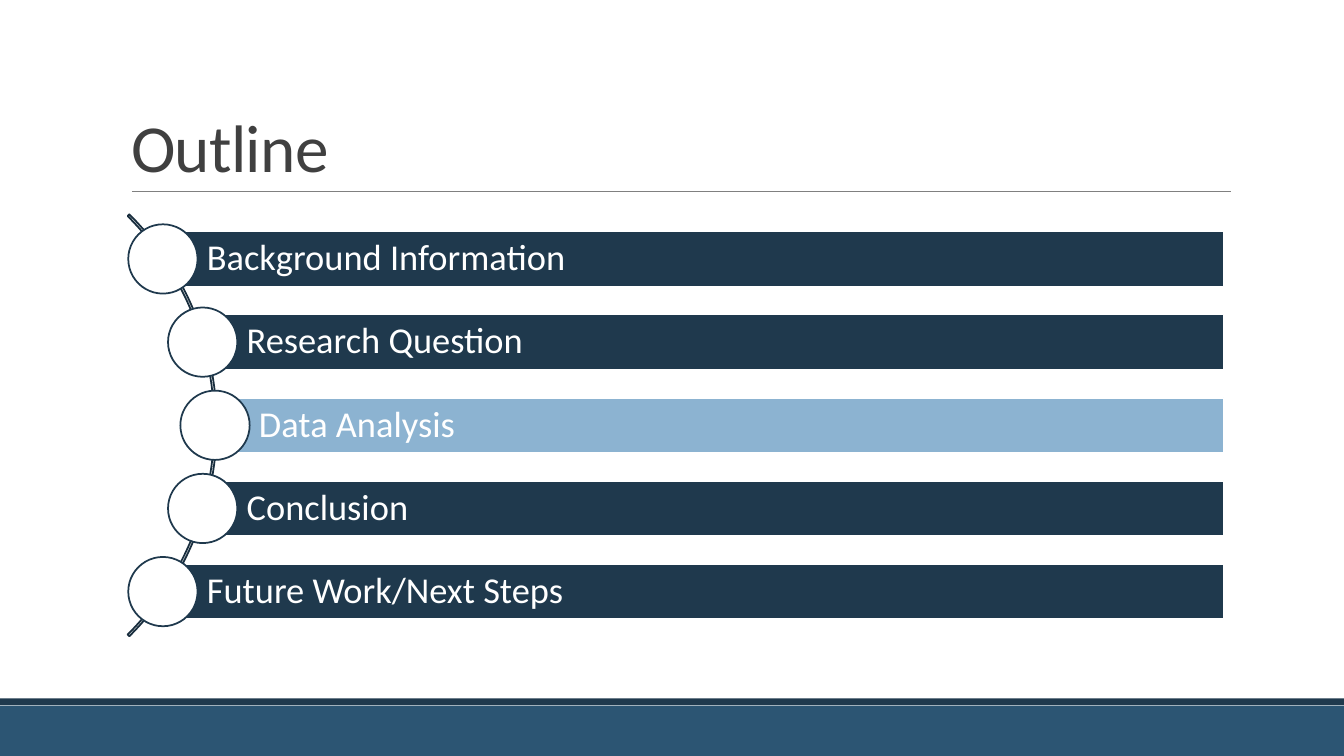
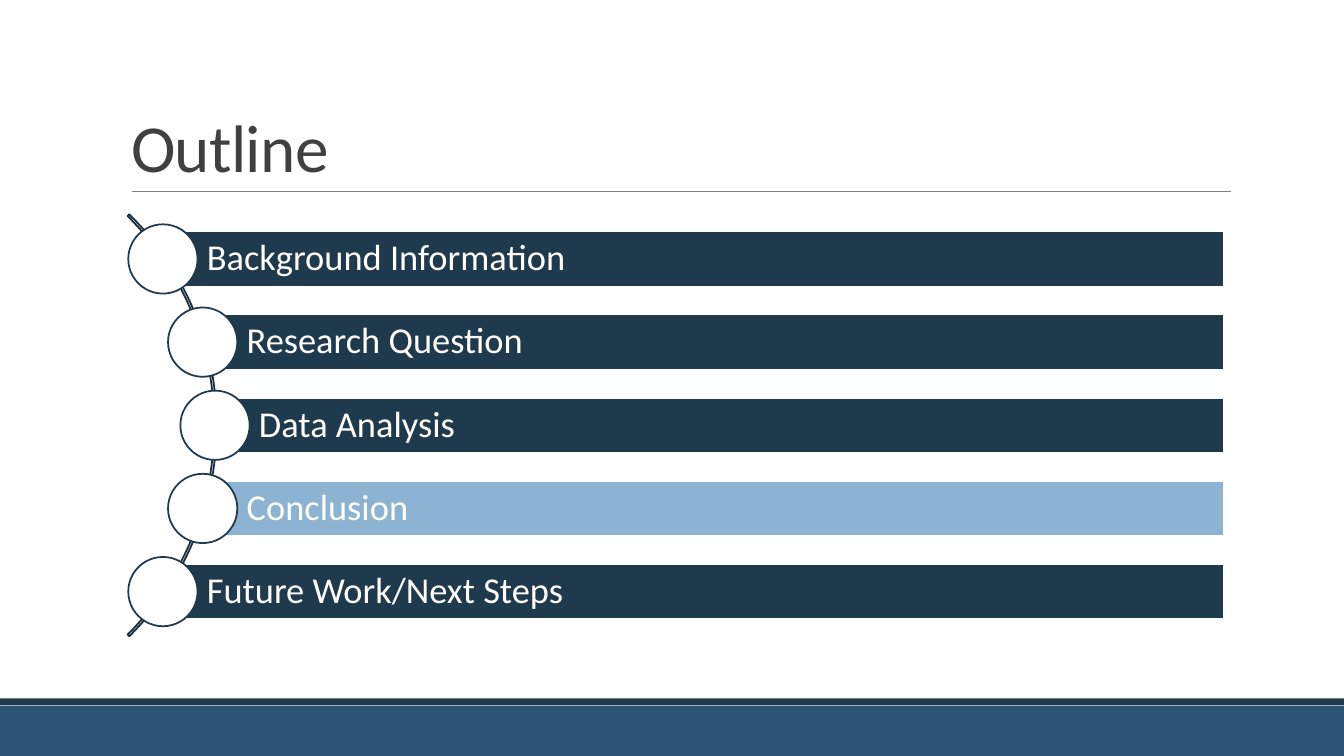
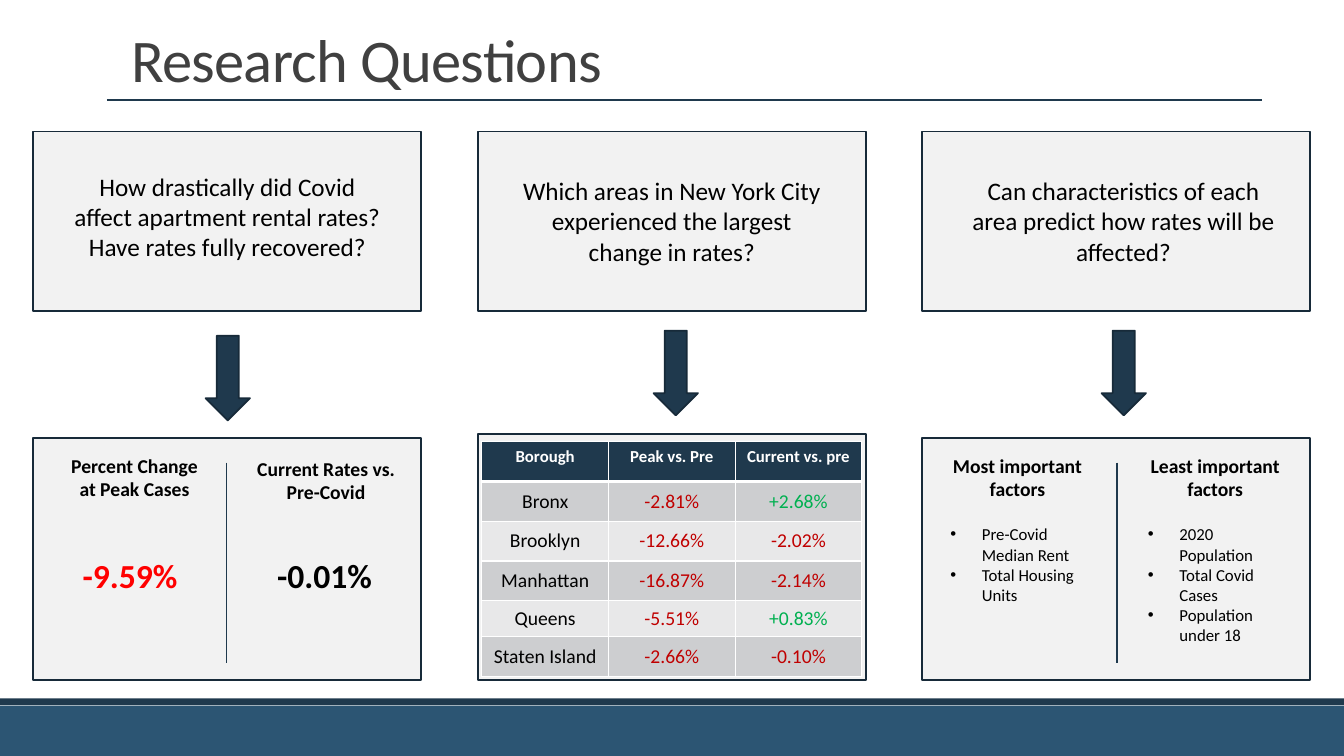
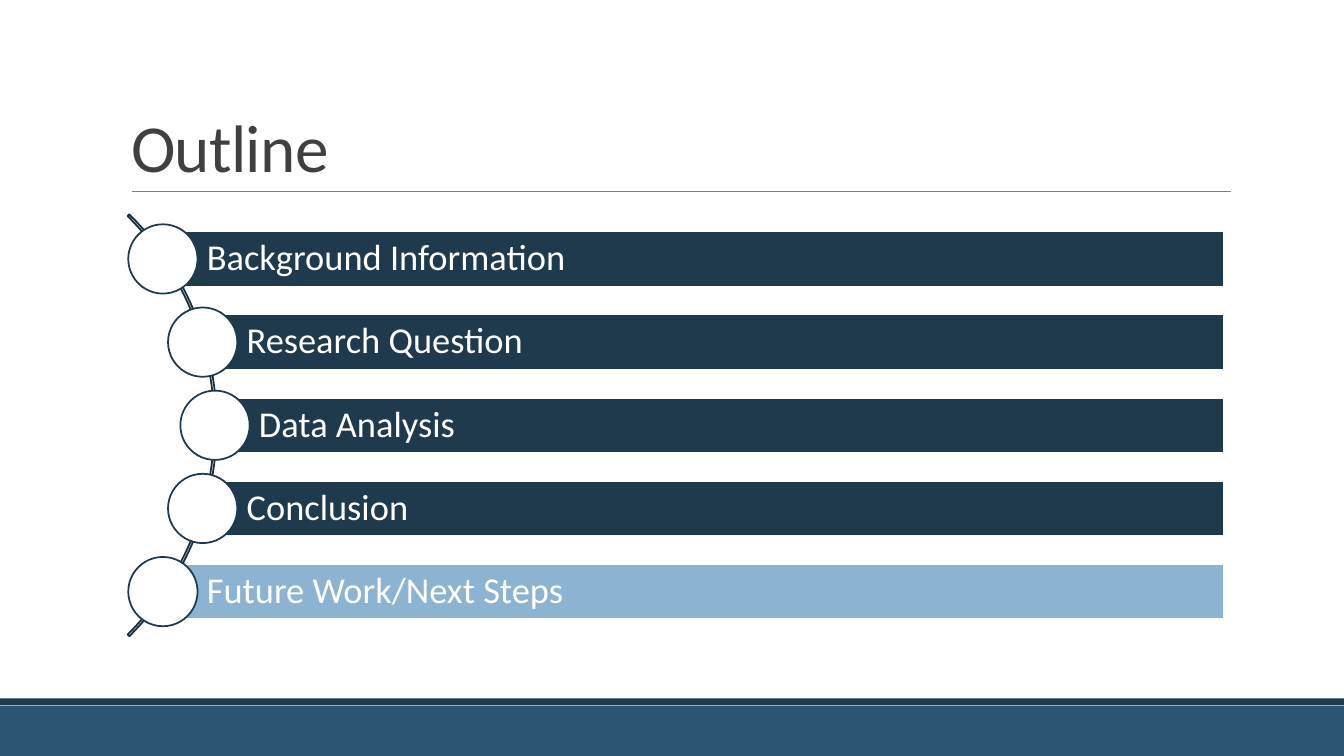
"""Build three outline slides and one slide of research questions."""
from dataclasses import dataclass

from lxml.etree import SubElement
from pptx import Presentation
from pptx.dml.color import RGBColor
from pptx.enum.shapes import MSO_CONNECTOR, MSO_SHAPE
from pptx.enum.text import MSO_ANCHOR, MSO_AUTO_SIZE, PP_ALIGN
from pptx.oxml.ns import qn
from pptx.util import Pt

TOPICS = [
    ("Background Information", 116.4),
    ("Research Question", 144.8),
    ("Data Analysis", 153.6),
    ("Conclusion", 144.8),
    ("Future Work/Next Steps", 116.4),
]

QUESTIONS = [
    {"text": "How drastically did Covid affect apartment rental rates? Have rates fully recovered?",
     "at": (43.2, 118.8), "arrow": 239.8, "panel": 312.7},
    {"text": "Which areas in New York City experienced the largest change in rates?",
     "at": (360.7, 121.7), "arrow": 236.2, "panel": 310.1},
    {"text": "Can characteristics of each area predict how rates will be affected?",
     "at": (683.3, 121.7), "arrow": 236.2, "panel": 312.7},
]

HEADS = [
    ("Percent Change at Peak Cases", 36.7, 320.4),
    ("Current Rates vs. Pre-Covid", 173.5, 322.6),
    ("Most important factors", 667.4, 320.4),
    ("Least important factors", 808.6, 320.4),
]

RATES = [("-9.59%", 47.5, 90.7, "alert"), ("-0.01%", 182.9, 97.9, "black")]

FACTORS = [
    (["Pre-Covid Median Rent", "Total Housing Units"], 671.8, 65.5),
    (["2020 Population", "Total Covid Cases", "Population under 18"], 812.9, 94.3),
]

BOROUGHS = [
    ("Borough", "Peak vs. Pre", "Current vs. pre"),
    ("Bronx", "-2.81%", "+2.68%"),
    ("Brooklyn", "-12.66%", "-2.02%"),
    ("Manhattan", "-16.87%", "-2.14%"),
    ("Queens", "-5.51%", "+0.83%"),
    ("Staten Island", "-2.66%", "-0.10%"),
]
ROWS = [28.4, 28.4, 28.4, 28.4, 25.6, 28.4]


@dataclass(frozen=True)
class Theme:
    """Colours, font and type sizes."""
    font: str = "Calibri"
    navy: str = "1F394D"
    edge: str = "172A39"
    arc: str = "192E3E"
    band: str = "2C5573"
    sky: str = "8CB3D1"
    panel: str = "F2F2F2"
    odd: str = "CDCED0"
    even: str = "E8E8E9"
    white: str = "FFFFFF"
    black: str = "000000"
    title: str = "404040"
    rule: str = "808080"
    alert: str = "FF0000"
    fall: str = "C00000"
    rise: str = "00B050"
    topic: float = 26
    rate: float = 24
    body: float = 18
    head: float = 14
    note: float = 12


THEME = Theme()
WIDE, HIGH = 960, 540


def rgb(hue):
    return RGBColor.from_string(hue)


def style(para, size, hue, bold=False, align=PP_ALIGN.LEFT, space=None):
    para.alignment = align
    para.line_spacing = space
    for run in para.runs:
        font = run.font
        font.name, font.size, font.bold = THEME.font, Pt(size), bold
        font.color.rgb = rgb(hue)


def draw(slide, kind, box, fill=None, line=None):
    shape = slide.shapes.add_shape(kind, *map(Pt, box))
    shape.shadow.inherit = False
    if fill:
        shape.fill.solid()
        shape.fill.fore_color.rgb = rgb(fill)
    else:
        shape.fill.background()
    if line:
        shape.line.color.rgb = rgb(line)
        shape.line.width = Pt(1.25)
    else:
        shape.line.fill.background()
    return shape


def rule(slide, start, end, hue, width):
    line = slide.shapes.add_connector(MSO_CONNECTOR.STRAIGHT, *map(Pt, start + end))
    line.line.color.rgb = rgb(hue)
    line.line.width = Pt(width)
    SubElement(line._element.spPr, qn("a:effectLst"))


def write(slide, box, lines, size, hue=THEME.black, bold=False, align=PP_ALIGN.CENTER):
    frame = slide.shapes.add_textbox(*map(Pt, box)).text_frame
    frame.word_wrap = True
    frame.text = "\n".join(lines)
    for para in frame.paragraphs:
        style(para, size, hue, bold, align)
    return frame


def page(deck, text, size, height, left, right):
    slide = deck.slides.add_slide(deck.slide_layouts[5])
    draw(slide, MSO_SHAPE.RECTANGLE, (0, 504, WIDE, 36), THEME.band)
    draw(slide, MSO_SHAPE.RECTANGLE, (0, 498.8, WIDE, 4.8), THEME.navy)
    title = slide.shapes.title
    title.left, title.top, title.width, title.height = map(Pt, (86.4, 22.3, 792, height))
    frame = title.text_frame
    frame.text = text
    frame.word_wrap = True
    frame.auto_size = MSO_AUTO_SIZE.NONE
    frame.vertical_anchor = MSO_ANCHOR.BOTTOM
    para = frame.paragraphs[0]
    style(para, size, THEME.title, space=0.85)
    para.runs[0].font._element.set("spc", "-50")
    base = 22.3 + height
    hue, width = (THEME.rule, 0.5) if size == 48 else (THEME.navy, 1)
    rule(slide, (left, base), (right, base), hue, width)
    return slide


def outline(deck, active):
    slide = page(deck, "Outline", 48, 114.3, 94.3, 879)
    arc = draw(slide, MSO_SHAPE.BLOCK_ARC, (-271.4, 90.7, 426.2, 426.2), line=THEME.arc)
    for spot, value in enumerate((189, 27, 0.004)):
        arc.adjustments[spot] = value
    pitch, bar, dot = 59.4, 39.4, 49.5
    for row, (text, left) in enumerate(TOPICS):
        mid = 303.8 + (row - 2) * pitch
        fill = THEME.sky if text == active else THEME.navy
        strip = draw(slide, MSO_SHAPE.RECTANGLE,
                     (left, mid - bar / 2, 874 - left, bar), fill, THEME.white)
        frame = strip.text_frame
        frame.text = text
        frame.word_wrap = True
        frame.vertical_anchor = MSO_ANCHOR.MIDDLE
        frame.margin_left = Pt(31.4)
        frame.margin_top = frame.margin_right = frame.margin_bottom = Pt(5)
        style(frame.paragraphs[0], THEME.topic, THEME.white, space=0.9)
        draw(slide, MSO_SHAPE.OVAL, (left - dot / 2, mid - dot / 2, dot, dot),
             THEME.white, THEME.navy)


def border(cell, foot):
    props = cell._tc.get_or_add_tcPr()
    for side, width in (("L", 1), ("R", 1), ("T", 1), ("B", foot)):
        line = SubElement(props, qn("a:ln" + side), w=str(Pt(width)))
        SubElement(SubElement(line, qn("a:solidFill")), qn("a:srgbClr"), val=THEME.white)


def grid(slide):
    box = map(Pt, (344.2, 315.6, 271.4, sum(ROWS)))
    table = slide.shapes.add_table(len(BOROUGHS), len(BOROUGHS[0]), *box).table
    for row, (height, texts) in enumerate(zip(ROWS, BOROUGHS)):
        table.rows[row].height = Pt(height)
        for col, text in enumerate(texts):
            cell = table.cell(row, col)
            cell.text = text
            border(cell, 1 if row else 3)
            size, fill = THEME.head, THEME.odd if row % 2 else THEME.even
            hue = {"-": THEME.fall, "+": THEME.rise}.get(text[0], THEME.black)
            if row:
                cell.vertical_anchor = MSO_ANCHOR.MIDDLE
            else:
                size, fill, hue = THEME.note, THEME.navy, THEME.white
            cell.fill.solid()
            cell.fill.fore_color.rgb = rgb(fill)
            style(cell.text_frame.paragraphs[0], size, hue, row == 0, PP_ALIGN.CENTER)


def bullet(para):
    props = para._p.get_or_add_pPr()
    props.set("marL", str(Pt(22.5)))
    props.set("indent", str(-Pt(22.5)))
    SubElement(props, qn("a:buFont"), typeface="Arial")
    SubElement(props, qn("a:buChar"), char="•")


def research(deck):
    slide = page(deck, "Research Questions", 43.2, 49, 76.3, 901.4)
    width, base = 277.2, 485.8
    for col, item in enumerate(QUESTIONS):
        left, top = 23.8 + 317.5 * col, item["panel"]
        for box in ((left, 94, width, 128.2), (left, top, width, base - top)):
            draw(slide, MSO_SHAPE.RECTANGLE, box, THEME.panel, THEME.edge)
        write(slide, (*item["at"], 238.3, 72.7), [item["text"]], THEME.body)
        draw(slide, MSO_SHAPE.DOWN_ARROW, (146.9 + 320 * col, item["arrow"], 31.7, 60.5),
             THEME.navy, THEME.edge)
    for text, left, top in HEADS:
        write(slide, (left, top, 118.8, 41), [text], THEME.head, bold=True)
    for text, left, span, hue in RATES:
        write(slide, (left, 393.1, span, 36), [text], THEME.rate, getattr(THEME, hue), True)
    for left in (162, 797.8):
        rule(slide, (left, 330.5), (left, 473.8), THEME.navy, 1)
    for lines, left, height in FACTORS:
        frame = write(slide, (left, 370.8, 108, height), lines, THEME.note,
                      align=PP_ALIGN.LEFT)
        for para in frame.paragraphs:
            bullet(para)
    grid(slide)


def main():
    deck = Presentation()
    deck.slide_width, deck.slide_height = Pt(WIDE), Pt(HIGH)
    outline(deck, "Data Analysis")
    outline(deck, "Conclusion")
    research(deck)
    outline(deck, "Future Work/Next Steps")
    deck.save("out.pptx")


if __name__ == "__main__":
    main()
